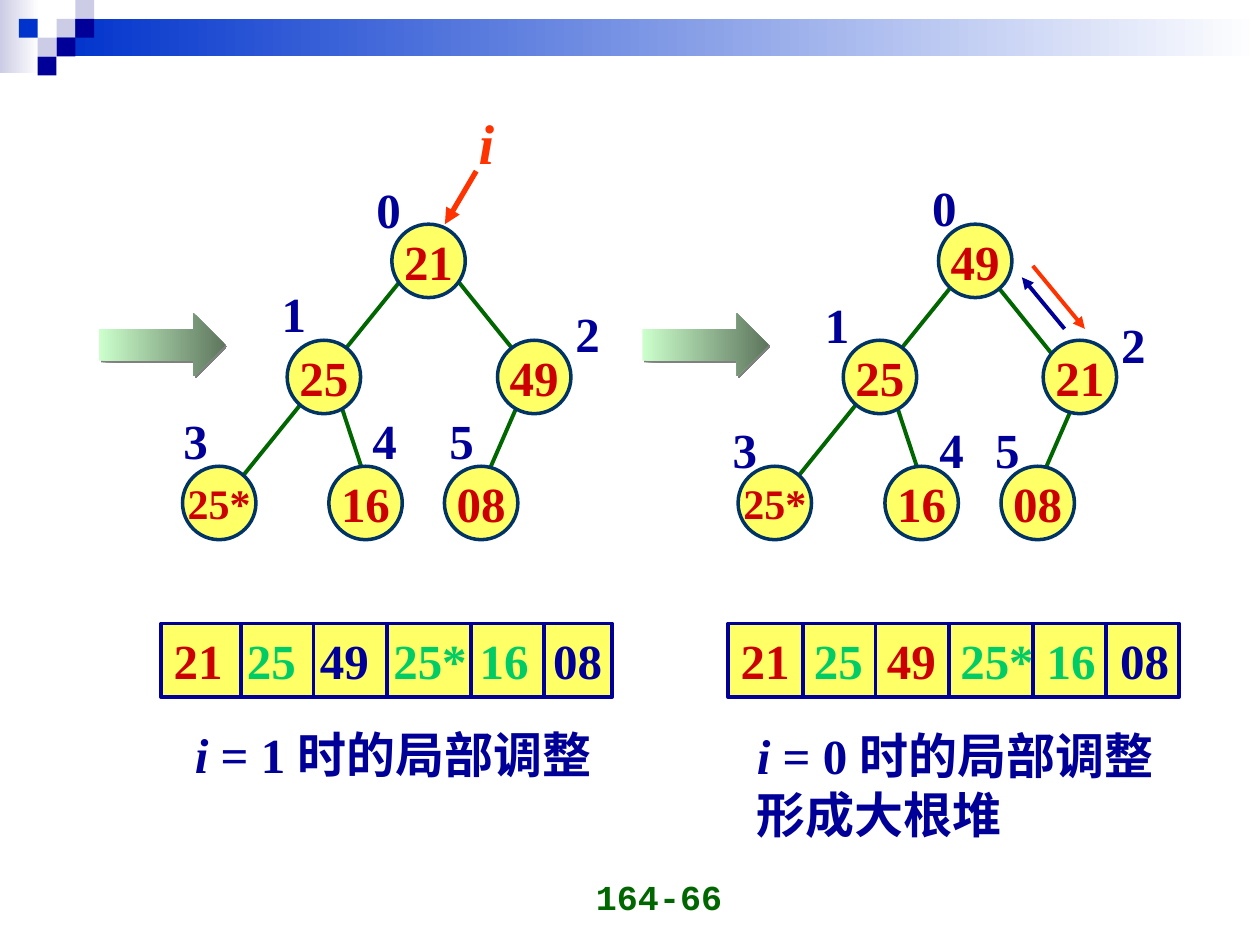
from lxml.etree import SubElement
from pptx import Presentation
from pptx.dml.color import RGBColor
from pptx.enum.shapes import MSO_CONNECTOR, MSO_SHAPE
from pptx.enum.text import MSO_ANCHOR, PP_ALIGN
from pptx.oxml.ns import qn
from pptx.util import Cm, Pt

NAVY, RED, GREEN, ORANGE, YELLOW = "000099", "CC0000", "00CC66", "FF3300", "FFFF66"
NODE = 1.48


def rgb(value):
    return RGBColor.from_string(value)


def add_run(p, text, size=28, color=NAVY, font="Times New Roman", italic=False):
    r = p.add_run()
    r.text = text
    r.font.size, r.font.name = Pt(size), font
    r.font.bold, r.font.italic = True, italic
    r.font.color.rgb = rgb(color)


def add_text(s, x, y, w, h, text, align=PP_ALIGN.LEFT, anchor=MSO_ANCHOR.TOP, **fmt):
    tf = s.shapes.add_textbox(Cm(x), Cm(y), Cm(w), Cm(h)).text_frame
    tf.word_wrap = False
    tf.vertical_anchor = anchor
    p = tf.paragraphs[0]
    p.alignment = align
    add_run(p, text, **fmt)
    return tf


def add_box(s, kind, x, y, w, h, fill, end=None, line=None, width=2.25):
    sp = s.shapes.add_shape(kind, Cm(x), Cm(y), Cm(w), Cm(h))
    sp.shadow.inherit = False
    if end:
        sp.fill.gradient()
        sp.fill.gradient_angle = 0
        for stop, color in zip(sp.fill.gradient_stops, (fill, end)):
            stop.color.rgb = rgb(color)
    else:
        sp.fill.solid()
        sp.fill.fore_color.rgb = rgb(fill)
    if line:
        sp.line.color.rgb = rgb(line)
        sp.line.width = Pt(width)
    else:
        sp.line.fill.background()
    return sp


def add_line(s, x1, y1, x2, y2, color, width=2.25, arrow=False):
    c = s.shapes.add_connector(MSO_CONNECTOR.STRAIGHT, Cm(x1), Cm(y1), Cm(x2), Cm(y2))
    c.line.color.rgb = rgb(color)
    c.line.width = Pt(width)
    if arrow:
        SubElement(c.line._get_or_add_ln(), qn("a:tailEnd"), type="triangle")
    SubElement(c._element.spPr, qn("a:effectLst"))


def add_header(s, x, y, w):
    tile = 0.38
    add_box(s, MSO_SHAPE.RECTANGLE, x, y, 0.79, 1.47, "CCCCE6", "FFFFFF")
    add_box(s, MSO_SHAPE.RECTANGLE, x + 3 * tile, y + tile, w - 3 * tile, 2 * tile,
            "0033CC", "FFFFFF")
    tiles = [(3, 1, "CCCCE6"), (4, 0, "CCCCE6"), (4, 1, NAVY), (2, 2, "CCCCE6"),
             (1, 1, "0033CC"), (3, 2, NAVY), (2, 3, NAVY)]
    for col, row, color in tiles:
        add_box(s, MSO_SHAPE.RECTANGLE, x + col * tile, y + row * tile, tile, tile, color)


def add_tree(s, x, y, values, lefts, shoulder, labels):
    edges = [(4.45, 1.07, 1.05, 5.28), (shoulder, 1.07, shoulder + 1.7, 3.18),
             (3.18, 3.61, 3.6, 4.88), (6.77, 3.61, 6.13, 5.08)]
    for x1, y1, x2, y2 in edges:
        add_line(s, x + x1, y + y1, x + x2, y + y2, "006600")
    tops = [0, 2.34, 2.34, 4.88, 4.88, 4.88]
    for value, left, top in zip(values, lefts, tops):
        sp = add_box(s, MSO_SHAPE.OVAL, x + left, y + top, NODE, NODE, YELLOW,
                     line="003366", width=2)
        tf = sp.text_frame
        tf.word_wrap = False
        tf.vertical_anchor = MSO_ANCHOR.MIDDLE
        tf.paragraphs[0].alignment = PP_ALIGN.CENTER
        add_run(tf.paragraphs[0], value, size=24 if "*" in value else 28, color=RED)
    for i, (left, top) in enumerate(labels):
        add_text(s, x + left, y + top, 0.99, 1.45, str(i))


def add_array(s, x, y, items, shift=0):
    sp = add_box(s, MSO_SHAPE.RECTANGLE, x, y, 9.09, NODE, YELLOW, line=NAVY)
    tf = sp.text_frame
    tf.word_wrap = True
    tf.margin_right = 0
    tf.vertical_anchor = MSO_ANCHOR.MIDDLE
    p = tf.paragraphs[0]
    tabs = SubElement(p._p.get_or_add_pPr(), qn("a:tabLst"))
    for pos in (1.48, 2.95, 4.43, 6.17, 7.65):
        SubElement(tabs, qn("a:tab"), pos=str(int(Cm(pos))), algn="l")
    p.alignment = PP_ALIGN.LEFT
    for i, (text, color) in enumerate(items):
        add_run(p, "\t" + text if i else text, color=color)
    for pos in (1.6, 3.07, 4.55, 6.25, 7.72):
        add_line(s, x + pos - shift, y, x + pos - shift, y + NODE, NAVY)


def add_caption(s, x, y, h, text, *more):
    tf = add_text(s, x, y, 8.74, h, "i", italic=True)
    add_run(tf.paragraphs[0], text)
    for extra in more:
        add_run(tf.add_paragraph(), extra)


def add_step_arrow(s, x, y):
    sp = add_box(s, MSO_SHAPE.RIGHT_ARROW, x, y, 2.54, 1.27, "CCFFCC", "5E765E")
    effects = sp._element.spPr.find(qn("a:effectLst"))
    shadow = SubElement(effects, qn("a:outerShdw"), dist=str(int(Pt(1.4))), dir="2700000")
    SubElement(shadow, qn("a:srgbClr"), val="808080")


def add_before(s, x, y):
    add_step_arrow(s, x, y + 1.8)
    add_tree(s, x + 1.68, y, ["21", "25", "49", "25*", "16", "08"],
             [4.22, 2.11, 6.35, 0, 2.95, 5.28], 5.49,
             [(3.66, -1.02), (1.75, 1.07), (7.67, 1.47),
              (-0.23, 3.63), (3.58, 3.63), (5.13, 3.63)])
    add_line(s, x + 7.6, y - 1.07, x + 6.97, y, ORANGE, 3, arrow=True)
    add_text(s, x + 7.4, y - 2.46, 0.81, 1.63, "i", size=32, color=ORANGE, italic=True)
    add_array(s, x + 1.25, y + 8.05,
              [("21", RED), ("25", GREEN), ("49", NAVY),
               ("25*", GREEN), ("16", GREEN), ("08", NAVY)])
    add_caption(s, x + 1.68, y + 9.96, 1.45, " = 1 时的局部调整")


def add_after(s, x, y):
    add_step_arrow(s, x, y + 1.8)
    add_tree(s, x + 1.93, y, ["49", "25", "21", "25*", "16", "08"],
             [4.04, 2.12, 6.15, 0, 2.96, 5.3], 5.08,
             [(3.66, -1.07), (1.5, 1.3), (7.47, 1.7),
              (-0.36, 3.81), (3.81, 3.81), (4.93, 3.81)])
    add_line(s, x + 8.51, y + 2.11, x + 7.65, y + 1.07, NAVY, arrow=True)
    add_line(s, x + 7.87, y + 0.84, x + 8.92, y + 2.11, ORANGE, arrow=True)
    add_array(s, x + 1.73, y + 8.05,
              [("21", RED), ("25", GREEN), ("49", RED),
               ("25*", GREEN), ("16", GREEN), ("08", NAVY)], shift=0.1)
    add_caption(s, x + 2.06, y + 9.98, 2.64, " = 0 时的局部调整", "形成大根堆")


def main():
    prs = Presentation()
    prs.slide_width, prs.slide_height = Cm(25.4), Cm(19.05)
    s = prs.slides.add_slide(prs.slide_layouts[6])
    add_header(s, 0, 0, 25.4)
    add_text(s, 8.89, 17.35, 5.92, 1.27, "164-66", align=PP_ALIGN.RIGHT,
             anchor=MSO_ANCHOR.BOTTOM, size=20, color="006600", font="Courier New")
    add_before(s, 2, 4.52)
    add_after(s, 12.95, 4.52)
    prs.save("out.pptx")


if __name__ == "__main__":
    main()
